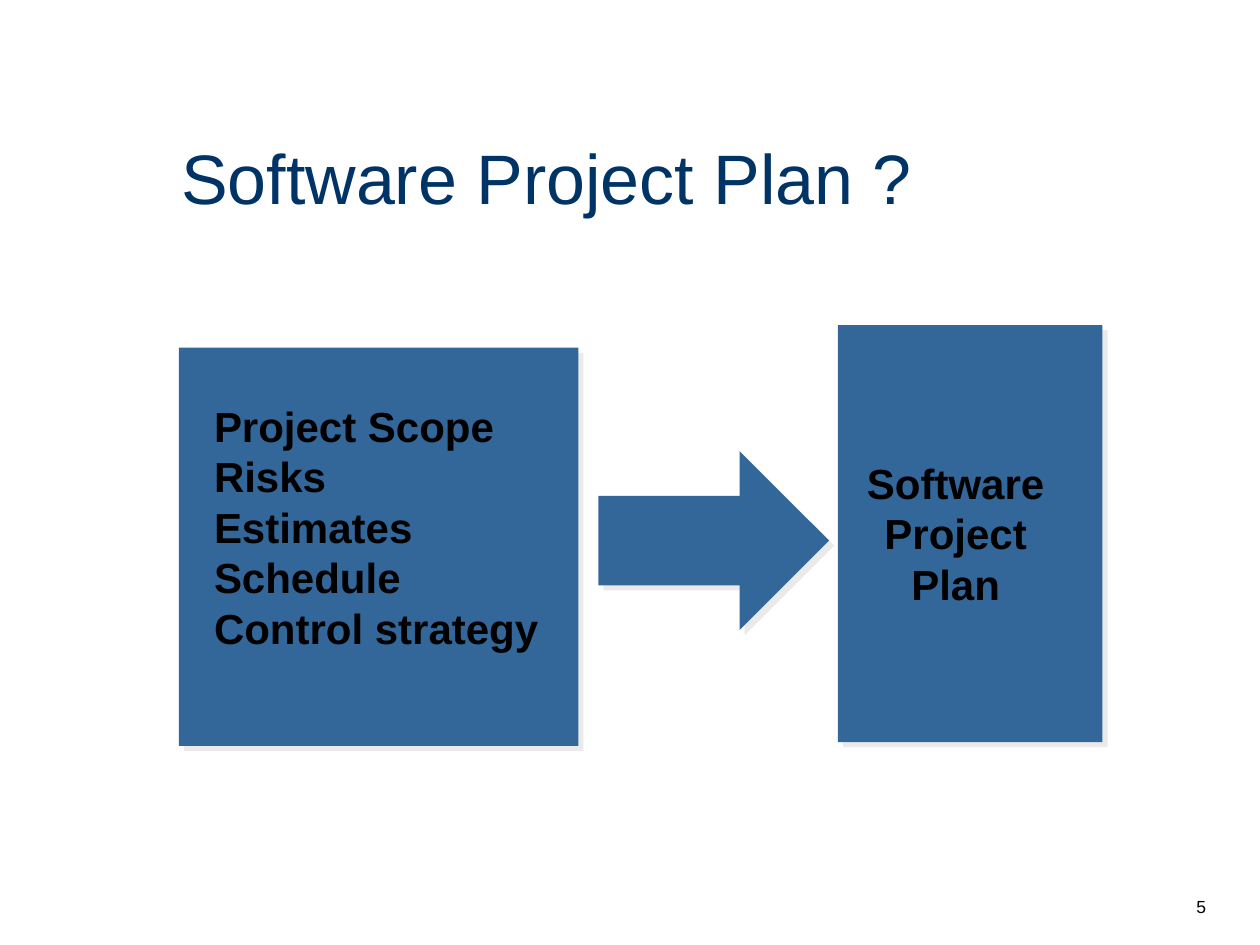
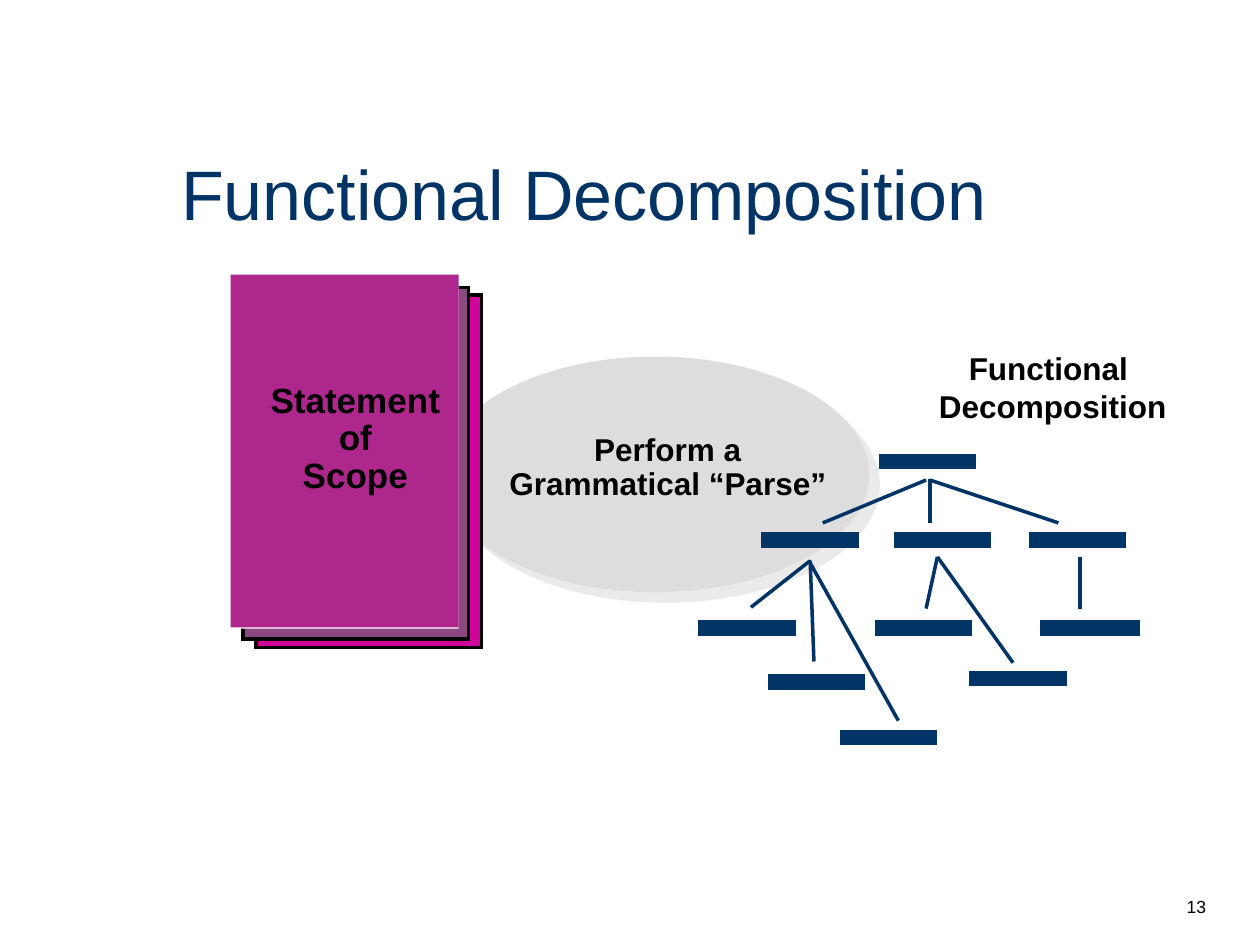
from typing import NamedTuple

from lxml.etree import SubElement
from pptx import Presentation
from pptx.dml.color import RGBColor
from pptx.enum.shapes import MSO_CONNECTOR, MSO_SHAPE
from pptx.enum.text import MSO_ANCHOR, MSO_AUTO_SIZE, PP_ALIGN
from pptx.oxml.ns import qn
from pptx.util import Emu, Pt

PX = 9144
FONT = "Arial"
NAVY = "003366"
BLUE = "336699"
BLACK = "000000"
WHITE = "FFFFFF"
SHADOW = "EAEAEA"
BAR_H = 11


class Box(NamedTuple):
    x: int
    y: int
    w: int
    h: int


class Panel(NamedTuple):
    box: Box
    fill: str
    kind: MSO_SHAPE = MSO_SHAPE.RECTANGLE
    line: str = ""
    line_pt: float = 0
    shadow_pt: float = 0


class Label(NamedTuple):
    box: Box
    lines: tuple[str, ...]
    size: int
    color: str = BLACK
    bold: bool = True
    align: PP_ALIGN = PP_ALIGN.CENTER
    anchor: MSO_ANCHOR = MSO_ANCHOR.TOP
    spacing: float = 1.0
    before: float = 0
    wrap: bool = False
    grow: bool = True


class Bar(NamedTuple):
    x: int
    y: int
    w: int = 76


class Branch(NamedTuple):
    x1: int
    y1: int
    x2: int
    y2: int


PLAN_PANELS = (
    Panel(Box(665, 258, 210, 331), BLUE, shadow_pt=4.2),
    Panel(Box(142, 276, 317, 316), BLUE, shadow_pt=4.2),
    Panel(Box(475, 358, 183, 142), BLUE, MSO_SHAPE.RIGHT_ARROW, shadow_pt=4.2),
)
PLAN_LABELS = (
    Label(Box(677, 358, 163, 130), ("Software", "Project", "Plan"), 24),
    Label(
        Box(160, 313, 281, 210),
        ("Project Scope", "Risks", "Estimates", "Schedule", "Control strategy"),
        24,
        align=PP_ALIGN.LEFT,
    ),
)
PARSE_ELLIPSE = Panel(Box(350, 283, 340, 187), "DDDDDD", MSO_SHAPE.OVAL, shadow_pt=8.5)
SCOPE_SHEETS = (
    Panel(Box(203, 234, 179, 281), WHITE),
    Panel(Box(203, 234, 179, 280), "D1039B", line=BLACK, line_pt=2),
    Panel(Box(193, 228, 179, 279), "8C4881", line=BLACK, line_pt=2),
    Panel(Box(183, 218, 181, 281), WHITE),
    Panel(Box(183, 218, 181, 280), "AD278D"),
)
TREE_BARS = (
    Bar(698, 361),
    Bar(605, 423), Bar(710, 423), Bar(817, 423),
    Bar(555, 493), Bar(610, 536), Bar(667, 580),
    Bar(695, 493), Bar(770, 533),
    Bar(826, 493, 78),
)
TREE_BRANCHES = (
    Branch(735, 381, 653, 415), Branch(738, 380, 738, 415), Branch(738, 381, 840, 415),
    Branch(643, 445, 596, 482), Branch(643, 445, 646, 525), Branch(642, 445, 713, 572),
    Branch(744, 442, 735, 483), Branch(744, 442, 804, 526),
    Branch(857, 442, 857, 483),
)
DECOMPOSITION_LABELS = (
    Label(Box(733, 272, 205, 70), ("Functional ", "Decomposition"), 18),
    Label(Box(203, 299, 158, 100), ("Statement", "of", "Scope"), 20, spacing=0.9),
    Label(
        Box(392, 340, 276, 64),
        ("Perform a Grammatical “Parse”",),
        18,
        spacing=0.9,
        before=11.2,
        wrap=True,
    ),
)


def px(n: int) -> Emu:
    return Emu(n * PX)


def rgb(color: str) -> RGBColor:
    return RGBColor.from_string(color)


def add_shadow(sp, dist: float) -> None:
    effects = sp._element.spPr.find(qn("a:effectLst"))
    outer = SubElement(effects, qn("a:outerShdw"), dist=str(Pt(dist)), dir="2700000",
                       algn="ctr", rotWithShape="0")
    SubElement(outer, qn("a:srgbClr"), val=SHADOW)


def add_panel(s, panel: Panel) -> None:
    sp = s.shapes.add_shape(panel.kind, *map(px, panel.box))
    sp.shadow.inherit = False
    sp.fill.solid()
    sp.fill.fore_color.rgb = rgb(panel.fill)
    if panel.line:
        sp.line.color.rgb = rgb(panel.line)
        sp.line.width = Pt(panel.line_pt)
        SubElement(sp._element.spPr.find(qn("a:ln")), qn("a:miter"), lim="800000")
    else:
        sp.line.fill.background()
    if panel.shadow_pt:
        add_shadow(sp, panel.shadow_pt)


def add_label(s, label: Label) -> None:
    tf = s.shapes.add_textbox(*map(px, label.box)).text_frame
    tf.word_wrap = label.wrap
    tf.auto_size = MSO_AUTO_SIZE.SHAPE_TO_FIT_TEXT if label.grow else MSO_AUTO_SIZE.NONE
    tf.vertical_anchor = label.anchor
    for i, line in enumerate(label.lines):
        p = tf.add_paragraph() if i else tf.paragraphs[0]
        p.alignment = label.align
        p.line_spacing = label.spacing
        p.space_before = Pt(label.before)
        r = p.add_run()
        r.text = line
        r.font.name = FONT
        r.font.size = Pt(label.size)
        r.font.bold = label.bold
        r.font.color.rgb = rgb(label.color)


def add_branch(s, branch: Branch) -> None:
    c = s.shapes.add_connector(MSO_CONNECTOR.STRAIGHT, *map(px, branch))
    c.line.color.rgb = rgb(NAVY)
    c.line.width = Pt(2)
    SubElement(c._element.spPr, qn("a:effectLst"))


def add_slide(prs, title: str, title_box: Box, anchor: MSO_ANCHOR, number: int):
    s = prs.slides.add_slide(prs.slide_layouts[6])
    add_label(s, Label(Box(825, 683, 142, 50), (str(number),), 10, bold=False,
                       align=PP_ALIGN.RIGHT, anchor=MSO_ANCHOR.BOTTOM,
                       wrap=True, grow=False))
    add_label(s, Label(title_box, (title,), 40, NAVY, bold=False,
                       align=PP_ALIGN.LEFT, anchor=anchor,
                       wrap=True, grow=False))
    return s


def build_plan(prs) -> None:
    s = add_slide(prs, "Software Project Plan ?", Box(134, 109, 608, 69),
                  MSO_ANCHOR.BOTTOM, 5)
    for panel in PLAN_PANELS:
        add_panel(s, panel)
    for label in PLAN_LABELS:
        add_label(s, label)


def build_decomposition(prs) -> None:
    s = add_slide(prs, "Functional Decomposition", Box(134, 125, 756, 56),
                  MSO_ANCHOR.MIDDLE, 13)
    for panel in (PARSE_ELLIPSE, *SCOPE_SHEETS):
        add_panel(s, panel)
    for bar in TREE_BARS:
        add_panel(s, Panel(Box(*bar, BAR_H), NAVY, line=NAVY, line_pt=1))
    for branch in TREE_BRANCHES:
        add_branch(s, branch)
    for label in DECOMPOSITION_LABELS:
        add_label(s, label)


def main() -> None:
    prs = Presentation()
    prs.slide_width = px(1000)
    prs.slide_height = px(750)
    build_plan(prs)
    build_decomposition(prs)
    prs.save("out.pptx")


if __name__ == "__main__":
    main()
